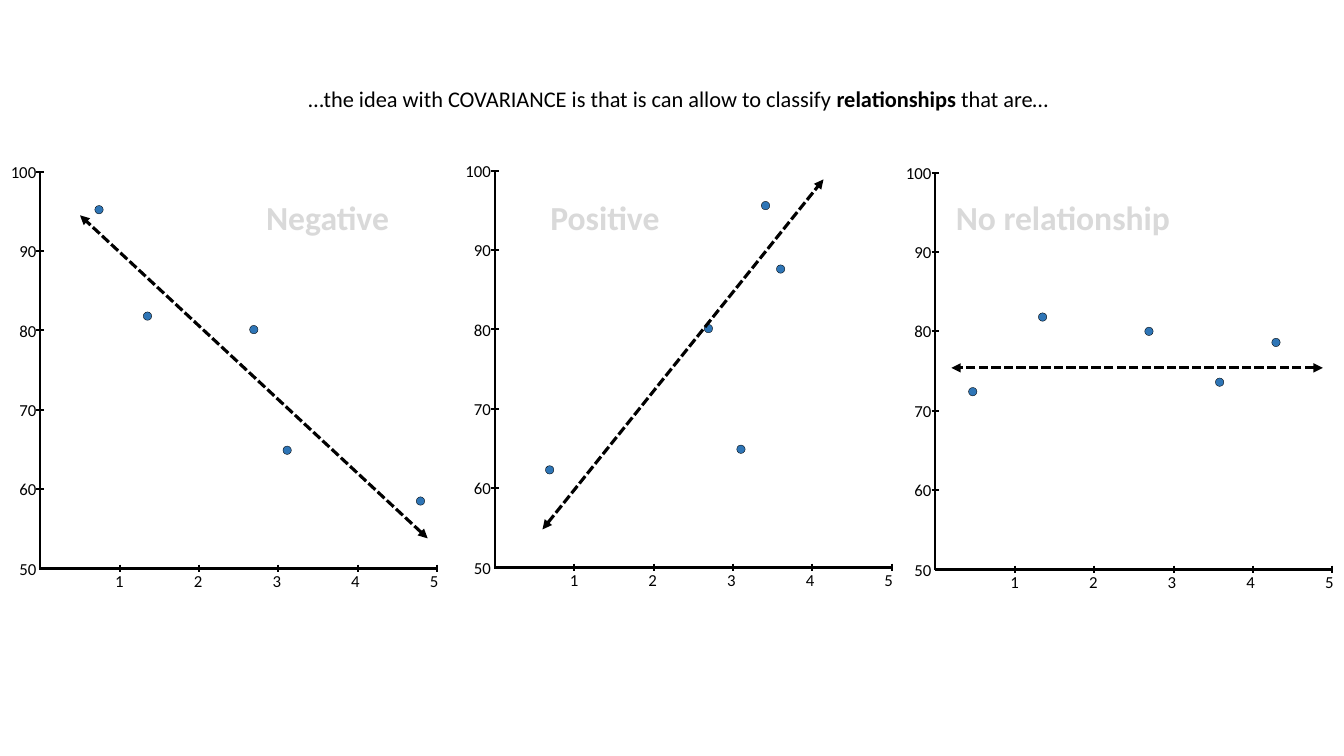
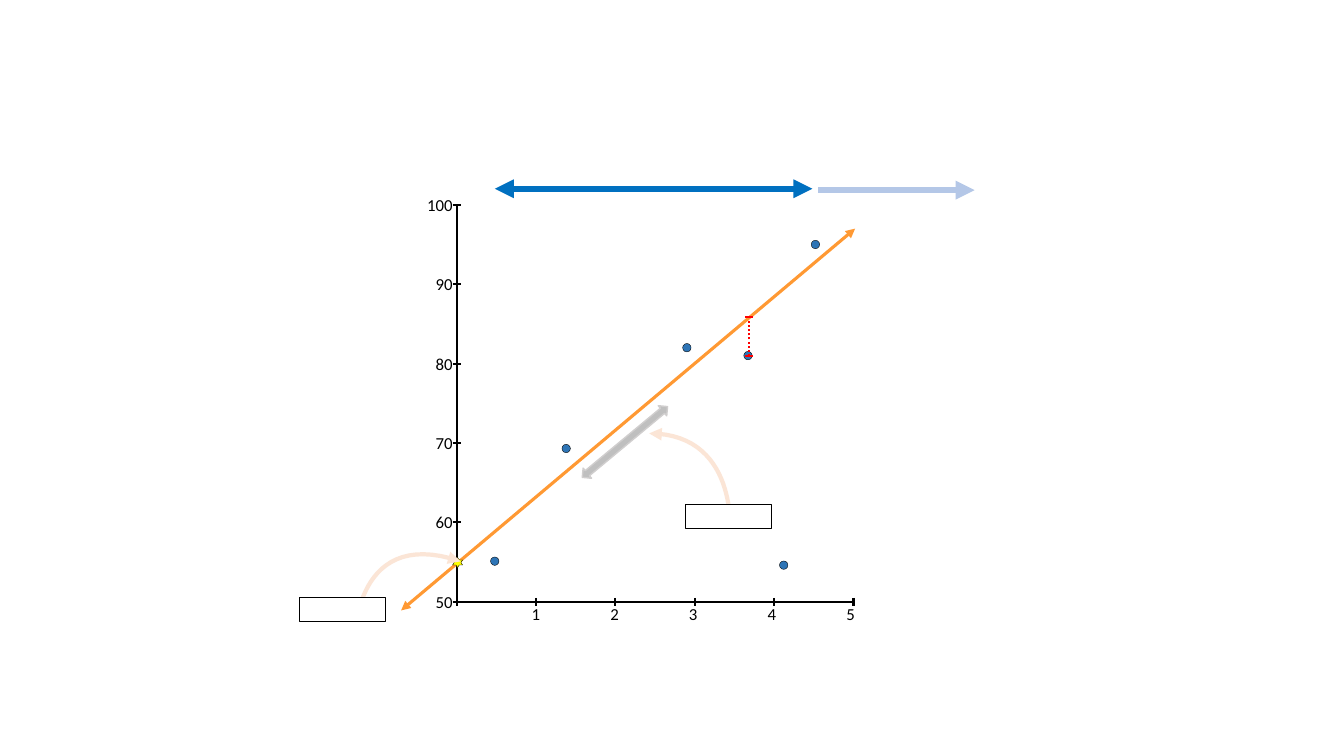
import pptx
import pptx.util
import pptx.dml.color
import pptx.enum.dml
import pptx.enum.shapes
import pptx.enum.text
import pptx.oxml
import pptx.oxml.ns
from lxml import etree

Pt = pptx.util.Pt
qn = pptx.oxml.ns.qn
KIND = pptx.enum.shapes.MSO_SHAPE
DASH = pptx.enum.dml.MSO_LINE
ALIGN = pptx.enum.text.PP_ALIGN
ANCHOR = pptx.enum.text.MSO_ANCHOR

# Content: dots and trend ends are (x, y) values on the axes
TITLE = [
    ("…the idea with COVARIANCE is that is can allow to classify ", False),
    ("relationships", True),
    (" that are…", False),
]
PLOTS = [
    {
        "name": "Positive", "label": 386, "orig": (353.5, 405.4),
        "dots": [(3.1, 64.9), (3.6, 87.6), (2.69, 80.1), (0.69, 62.3), (3.41, 95.6)],
        "trend": [(0.6, 54.8), (4.14, 98.9)],
    },
    {
        "name": "Negative", "label": 183, "orig": (28.8, 406.1),
        "dots": [(3.11, 64.9), (4.79, 58.5), (2.69, 80.1), (1.35, 81.8), (0.74, 95.2)],
        "trend": [(4.88, 53.8), (0.5, 94.5)],
    },
    {
        "name": "No relationship", "label": 675.6, "orig": (668.2, 406.8),
        "dots": [(3.58, 73.6), (4.29, 78.6), (2.69, 80), (1.35, 81.8), (0.47, 72.4)],
        "trend": [(4.88, 75.4), (0.2, 75.4)],
    },
]
FIT = {
    "orig": (326.2, 429.8),
    "dots": [(0.48, 55.1), (1.38, 69.3), (2.9, 82), (3.67, 81), (4.52, 95), (4.12, 54.6)],
    "trend": [(-0.7, 48.9), (5.02, 97)],
}
# Bezier points, arrowhead first
CURVES = [
    [(329, 401), (278.6, 383.8), (262, 414), (256.3, 435.6)],
    [(463.7, 309.6), (506.2, 309.6), (517.7, 341.3), (520.6, 362.2)],
]
BOXES = [(489.2, 360), (213.8, 426.4)]

# Shared look
FONT = "Calibri"
COLORS = {
    "ink": "000000", "dot": "2E75B6", "pale": "D9D9D9", "trend": "FF9933",
    "range": "0070C0", "beyond": "B4C7E7", "error": "FF0000", "star": "FFFF00",
    "curve": "FBE5D6", "slope": "BFBFBF", "edge": "D0CECE", "white": "FFFFFF",
}
STEP = 56.7
COUNT = 5
TICK = 2.8
DOT = 6


def color(name):
    return pptx.dml.color.RGBColor.from_string(COLORS[name])


def style(line, name, width):
    line.color.rgb = color(name)
    line.width = Pt(width)


def heads(shape, *ends):
    ln = shape.element.spPr.find(qn("a:ln"))
    for end in ends:
        etree.SubElement(ln, qn(f"a:{end}End"), type="triangle")


def draw(slide, start, end, name="ink", width=1.5, dash=None, ends=()):
    kind = pptx.enum.shapes.MSO_CONNECTOR.STRAIGHT
    line = slide.shapes.add_connector(kind, *(Pt(v) for v in (*start, *end)))
    style(line.line, name, width)
    if dash:
        line.line.dash_style = dash
    heads(line, *ends)
    etree.SubElement(line.element.spPr, qn("a:effectLst"))


def shape(slide, kind, box, fill, edge="ink", width=0.25, turn=0):
    item = slide.shapes.add_shape(kind, *(Pt(v) for v in box))
    item.shadow.inherit = False
    item.fill.solid()
    item.fill.fore_color.rgb = color(fill)
    style(item.line, edge, width)
    item.rotation = turn


def font(para, size, name="ink", bold=False):
    para.font.name = FONT
    para.font.size = Pt(size)
    para.font.bold = bold
    para.font.color.rgb = color(name)


def text(slide, box, words, size=12, name="ink", bold=False, align=ALIGN.LEFT):
    frame = slide.shapes.add_textbox(*(Pt(v) for v in box)).text_frame
    frame.word_wrap = True
    # No margin on the ragged side
    if align == ALIGN.RIGHT:
        frame.margin_left = 0
    else:
        frame.margin_right = 0
    para = frame.paragraphs[0]
    para.text = words
    para.alignment = align
    font(para, size, name, bold)
    return para


def place(orig, x, y):
    """Turn axis values into a point on the slide."""
    return orig[0] + x * STEP, orig[1] - (y - 50) / 10 * STEP


def axes(slide, orig, first):
    left, base = orig
    size = COUNT * STEP
    draw(slide, (left, base - size), (left, base + 0.7))
    draw(slide, (left + size, base), orig)
    for i in range(first, COUNT + 1):
        x, y = left + i * STEP, base - i * STEP
        draw(slide, (x, base - TICK), (x, base + TICK))
        draw(slide, (left - TICK, y), (left + TICK, y))
    for i in range(COUNT + 1):
        box = (left - 26, base - i * STEP - 10.8, 30.2, 21.6)
        text(slide, box, str(50 + 10 * i), align=ALIGN.RIGHT)
    # One row of numbers, spaced by tab stops
    row = "\t".join(str(i + 1) for i in range(COUNT))
    para = text(slide, (left + 46.4, base - 2.2, 245, 21.6), row)
    tabs = etree.SubElement(para._p.get_or_add_pPr(), qn("a:tabLst"))
    para._p.pPr.insert(0, tabs)
    for i in range(1, COUNT):
        etree.SubElement(tabs, qn("a:tab"), pos=str(Pt(56.2 * i)), algn="l")


def scatter(slide, plot):
    for dot in plot["dots"]:
        x, y = place(plot["orig"], *dot)
        shape(slide, KIND.OVAL, (x - DOT / 2, y - DOT / 2, DOT, DOT), "dot")


def trend(slide, plot, name="ink", dash=None):
    start, end = (place(plot["orig"], *p) for p in plot["trend"])
    draw(slide, start, end, name, 2.25, dash, ("head", "tail"))


def curve(slide, points, count=20):
    path = []
    for i in range(count + 1):
        t = i / count
        parts = ((1 - t) ** 3, 3 * t * (1 - t) ** 2, 3 * t * t * (1 - t), t ** 3)
        path.append(tuple(Pt(sum(w * p[k] for w, p in zip(parts, points))) for k in (0, 1)))
    form = slide.shapes.build_freeform(*path[0])
    form.add_line_segments(path[1:], close=False)
    item = form.convert_to_shape()
    item.shadow.inherit = False
    item.fill.background()
    style(item.line, "curve", 3)
    heads(item, "head")


def kinds(deck):
    """Slide 1: three kinds of relationship."""
    slide = deck.slides.add_slide(deck.slide_layouts[5])
    title = slide.shapes.title
    title.left, title.top, title.width, title.height = (Pt(v) for v in (213, 57, 610.6, 26.6))
    frame = title.text_frame
    frame.word_wrap = True
    frame.auto_size = pptx.enum.text.MSO_AUTO_SIZE.NONE
    frame.vertical_anchor = ANCHOR.TOP
    para = frame.paragraphs[0]
    para.alignment = ALIGN.LEFT
    font(para, 16)
    for words, bold in TITLE:
        run = para.add_run()
        run.text = words
        run.font.bold = bold
    for plot in PLOTS:
        axes(slide, plot["orig"], 1)
        scatter(slide, plot)
        trend(slide, plot, dash=DASH.SQUARE_DOT)
        text(slide, (plot["label"], 137, 190, 36.5), plot["name"], 24, "pale", True)


def fit(deck):
    """Slide 2: the fitted line and its parts."""
    slide = deck.slides.add_slide(deck.slide_layouts[6])
    trend(slide, FIT, "trend")
    axes(slide, FIT["orig"], 0)
    scatter(slide, FIT)
    # Range of the data and beyond
    draw(slide, (353.5, 134.8), (580.3, 134.8), "range", 4.5, ends=("head", "tail"))
    draw(slide, (584.6, 135.8), (696.2, 135.8), "beyond", 4.5, ends=("tail",))
    # Error bar
    mid, high, low = 535, 226.5, 254.5
    draw(slide, (mid, low), (mid, high), "error", dash=DASH.ROUND_DOT)
    for y in (high, low):
        draw(slide, (mid + TICK, y), (mid - TICK, y), "error")
    # Intercept, slope and their boxes
    shape(slide, KIND.STAR_6_POINT, (323.3, 398.2, 7.2, 7.2), "star")
    shape(slide, KIND.LEFT_RIGHT_ARROW, (406.8, 311, 79.2, 9.4), "slope", "edge", 1, 320.3)
    for points in CURVES:
        curve(slide, points)
    for spot in BOXES:
        shape(slide, KIND.RECTANGLE, (*spot, 61.5, 17.3), "white")


def main():
    deck = pptx.Presentation()
    deck.slide_width, deck.slide_height = Pt(960), Pt(540)
    kinds(deck)
    fit(deck)
    deck.save("out.pptx")


if __name__ == "__main__":
    main()
